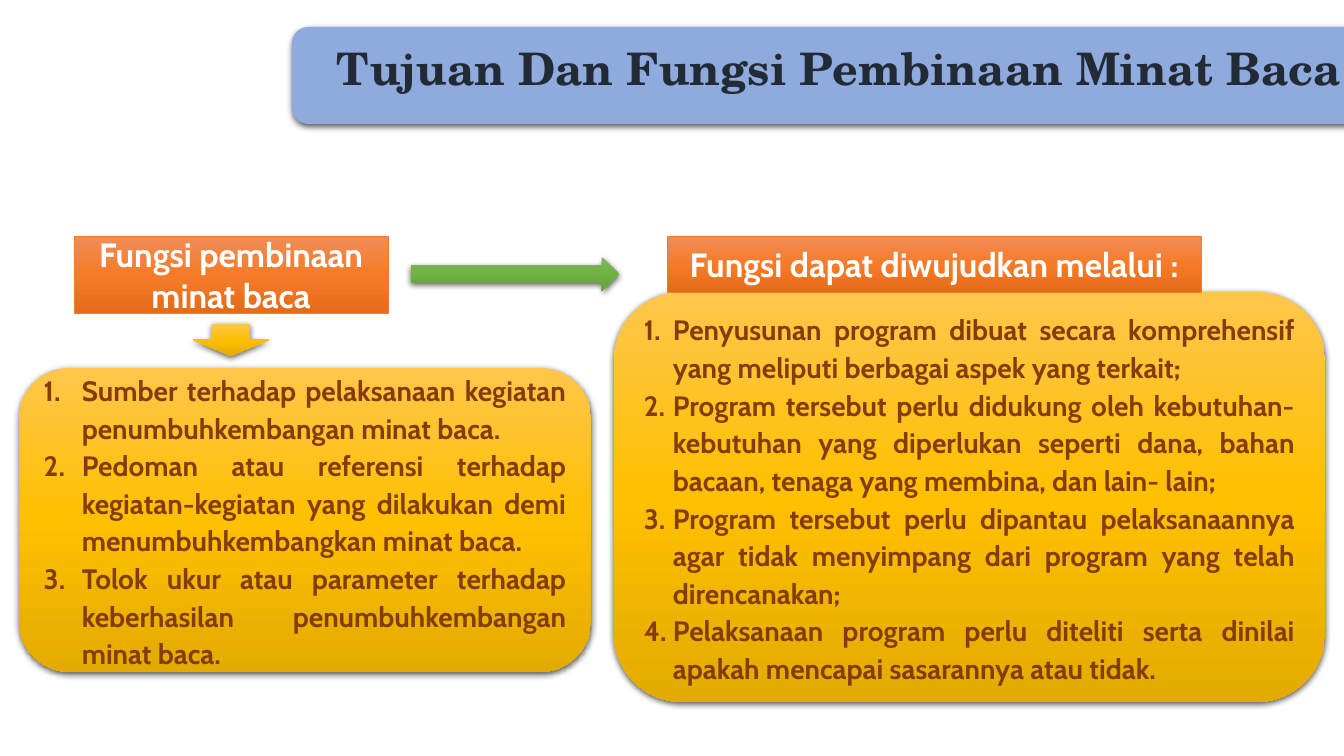
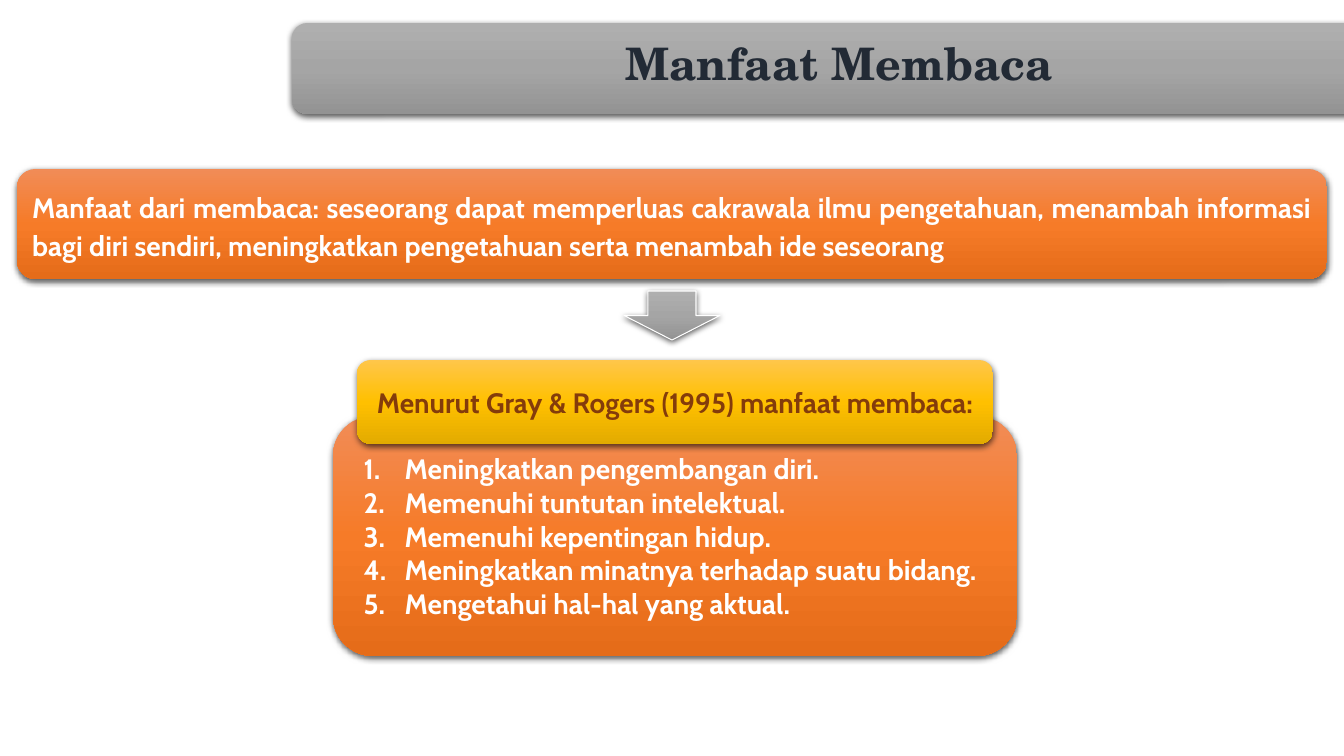
"""Build two slides on the aims and the benefits of reading."""
import copy
import dataclasses
import typing

import lxml.etree
import pptx
import pptx.dml.color
import pptx.enum.shapes
import pptx.enum.text
import pptx.oxml.ns
import pptx.slide
import pptx.util

RGB = pptx.dml.color.RGBColor
KIND = pptx.enum.shapes.MSO_SHAPE
ALIGN = pptx.enum.text.PP_ALIGN
ANCHOR = pptx.enum.text.MSO_ANCHOR
Pt = pptx.util.Pt
tag = pptx.oxml.ns.qn

SCALE = 914400 / 100.8

WHITE = RGB(0xFF, 0xFF, 0xFF)
BROWN = RGB(0x84, 0x3C, 0x0B)
NAVY = RGB(0x22, 0x2A, 0x35)
RUST = RGB(0xED, 0x7D, 0x31)
BLUE = (RGB(0x8F, 0xAA, 0xDC),)
GOLD = (RGB(0xFF, 0xC6, 0x4B), RGB(0xFF, 0xC0, 0x00), RGB(0xE3, 0xAB, 0x00))
ORANGE = (RGB(0xF1, 0x8C, 0x57), RGB(0xF6, 0x7B, 0x28), RGB(0xE5, 0x6C, 0x19))
GREEN = (RGB(0x81, 0xB8, 0x61), RGB(0x6F, 0xB2, 0x42), RGB(0x62, 0xA3, 0x36))
GREY = (RGB(0xAF, 0xAF, 0xAF), RGB(0xA5, 0xA5, 0xA5), RGB(0x93, 0x93, 0x93))

Paint = tuple[RGB, ...]


@dataclasses.dataclass(frozen=True)
class Style:
    """Format values for the text of a box."""
    color: RGB
    font: dict[str, typing.Any]
    para: dict[str, typing.Any]
    frame: dict[str, typing.Any]


@dataclasses.dataclass(frozen=True)
class Box:
    """A shape with its place in pixels, paint and text."""
    kind: KIND
    place: tuple[int, int, int, int]
    paint: Paint
    style: Style | None = None
    lines: tuple[str, ...] = ()
    indent: tuple[int, int] | None = None
    edge: tuple[RGB, float] | None = None
    shade: bool = True


def cabin(size: int, color: RGB, **para: typing.Any) -> Style:
    """Return a bold, vertically centred body style."""
    return Style(color, {"name": "Cabin", "size": Pt(size), "bold": True},
                 para, {"vertical_anchor": ANCHOR.MIDDLE})


TITLE = Style(NAVY, {"name": "TeX Gyre Schola", "size": Pt(32), "bold": True},
              {"alignment": ALIGN.CENTER, "line_spacing": 1.07, "space_after": Pt(8)},
              {"vertical_anchor": ANCHOR.TOP})
LABEL = cabin(24, WHITE, alignment=ALIGN.CENTER)
LEAD = cabin(20, BROWN, alignment=ALIGN.CENTER)
BODY = cabin(20, BROWN, alignment=ALIGN.JUSTIFY, line_spacing=1.12)
CLAIM = cabin(20, WHITE, alignment=ALIGN.JUSTIFY, line_spacing=1.12)
GAINS = cabin(20, WHITE, alignment=ALIGN.JUSTIFY)


def emu(pixel: float) -> int:
    """Turn pixels into EMU."""
    return round(pixel * SCALE)


def apply(target: typing.Any, values: dict[str, typing.Any]) -> None:
    """Set each format value on the target."""
    for name, value in values.items():
        setattr(target, name, value)


def tint(shape: typing.Any, paint: Paint) -> None:
    """Fill a shape with one colour or an even downward blend of three."""
    fill = shape.fill
    if len(paint) == 1:
        fill.solid()
        fill.fore_color.rgb = paint[0]
        return
    fill.gradient()
    fill.gradient_angle = 270
    first = shape._element.spPr.find(".//" + tag("a:gs"))
    first.addnext(copy.deepcopy(first))
    for rank, (stop, color) in enumerate(zip(fill.gradient_stops, paint)):
        stop.position = rank / 2
        stop.color.rgb = color


def shadow(shape: typing.Any) -> None:
    """Cast a soft black shadow below a shape."""
    group = shape._element.spPr.find(tag("a:effectLst"))
    outer = lxml.etree.SubElement(group, tag("a:outerShdw"), blurRad=str(Pt(4.5)),
                                  dist=str(Pt(1.5)), dir="5400000", rotWithShape="0")
    black = lxml.etree.SubElement(outer, tag("a:srgbClr"), val="000000")
    lxml.etree.SubElement(black, tag("a:alpha"), val="63000")


def number(para: typing.Any, indent: tuple[int, int]) -> None:
    """Number a paragraph with a hanging indent."""
    left, hang = indent
    props = para._p.get_or_add_pPr()
    props.set("marL", str(emu(left)))
    props.set("indent", str(-emu(hang)))
    lxml.etree.SubElement(props, tag("a:buFont"), typeface="+mj-lt")
    lxml.etree.SubElement(props, tag("a:buAutoNum"), type="arabicPeriod")


def write(frame: typing.Any, box: Box, style: Style) -> None:
    """Write the lines of a box as paragraphs."""
    frame.word_wrap = True
    apply(frame, style.frame)
    for rank, line in enumerate(box.lines):
        para = frame.add_paragraph() if rank else frame.paragraphs[0]
        apply(para, style.para)
        if box.indent:
            number(para, box.indent)
        run = para.add_run()
        run.text = line
        apply(run.font, style.font)
        run.font.color.rgb = style.color


def draw(slide: pptx.slide.Slide, box: Box) -> None:
    """Draw one box on a slide."""
    shape = slide.shapes.add_shape(box.kind, *map(emu, box.place))
    tint(shape, box.paint)
    if box.edge:
        color, width = box.edge
        shape.line.color.rgb = color
        shape.line.width = Pt(width)
    else:
        shape.line.fill.background()
    shape.shadow.inherit = False
    if box.shade:
        shadow(shape)
    if box.style:
        write(shape.text_frame, box, box.style)


def banner(text: str, top: int, height: int, paint: Paint) -> Box:
    """Return the title band that runs past the right edge."""
    return Box(KIND.ROUNDED_RECTANGLE, (292, top, 1095, height), paint, TITLE, (text,))


def panel(place: tuple[int, int, int, int], paint: Paint, style: Style,
          *lines: str, indent: tuple[int, int] | None = None) -> Box:
    """Return a rounded text panel."""
    return Box(KIND.ROUNDED_RECTANGLE, place, paint, style, lines, indent)


def label(place: tuple[int, int, int, int], text: str) -> Box:
    """Return an orange heading with a thin edge."""
    return Box(KIND.RECTANGLE, place, ORANGE, LABEL, (text,),
               edge=(RUST, 0.5), shade=False)


AIMS = (
    panel((19, 368, 572, 304), GOLD, BODY,
          "Sumber terhadap pelaksanaan kegiatan penumbuhkembangan minat baca.",
          "Pedoman atau referensi terhadap kegiatan-kegiatan yang dilakukan demi "
          "menumbuhkembangkan minat baca.",
          "Tolok ukur atau parameter terhadap keberhasilan penumbuhkembangan minat baca.",
          indent=(38, 38)),
    label((74, 236, 314, 77), "Fungsi pembinaan minat baca"),
    Box(KIND.DOWN_ARROW, (193, 324, 76, 32), GOLD),
    panel((614, 292, 711, 410), GOLD, BODY,
          "Penyusunan program dibuat secara komprehensif yang meliputi berbagai aspek "
          "yang terkait;",
          "Program tersebut perlu didukung oleh kebutuhan-kebutuhan yang diperlukan "
          "seperti dana, bahan bacaan, tenaga yang membina, dan lain- lain;",
          "Program tersebut perlu dipantau pelaksanaannya agar tidak menyimpang dari "
          "program yang telah direncanakan;",
          "Pelaksanaan program perlu diteliti serta dinilai apakah mencapai sasarannya "
          "atau tidak.",
          indent=(29, 29)),
    label((667, 236, 534, 56), "Fungsi dapat diwujudkan melalui :"),
    Box(KIND.RIGHT_ARROW, (411, 257, 208, 34), GREEN),
    banner("Tujuan Dan Fungsi Pembinaan Minat Baca", 27, 97, BLUE),
)

USES = (
    banner("Manfaat Membaca", 23, 91, GREY),
    panel((17, 169, 1310, 110), ORANGE, CLAIM,
          "Manfaat dari membaca: seseorang dapat memperluas cakrawala ilmu pengetahuan, "
          "menambah informasi bagi diri sendiri, meningkatkan pengetahuan serta menambah "
          "ide seseorang"),
    panel((333, 416, 684, 240), ORANGE, GAINS,
          "Meningkatkan pengembangan diri.",
          "Memenuhi tuntutan intelektual.",
          "Memenuhi kepentingan hidup.",
          "Meningkatkan minatnya terhadap suatu bidang.",
          "Mengetahui hal-hal yang aktual.",
          indent=(50, 41)),
    panel((357, 360, 636, 84), GOLD, LEAD,
          "Menurut Gray & Rogers (1995) manfaat membaca:"),
    Box(KIND.DOWN_ARROW, (624, 291, 96, 49), GREY, edge=(WHITE, 0.75)),
)


def main() -> None:
    """Build and save the deck."""
    deck = pptx.Presentation()
    deck.slide_width, deck.slide_height = emu(1344), emu(756)
    for boxes in (AIMS, USES):
        slide = deck.slides.add_slide(deck.slide_layouts[6])
        for box in boxes:
            draw(slide, box)
    deck.save("out.pptx")


main()
